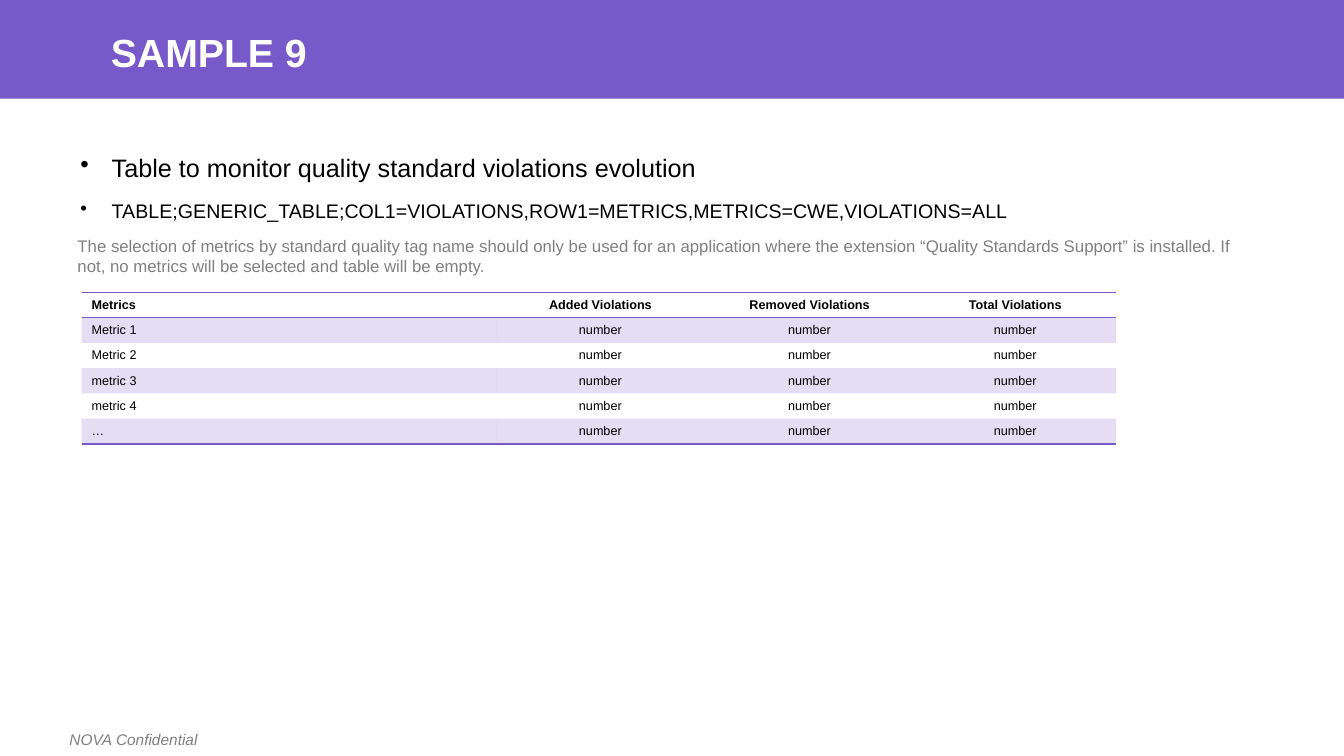
from dataclasses import dataclass

from lxml.etree import SubElement
from pptx import Presentation
from pptx.dml.color import RGBColor
from pptx.enum.shapes import MSO_SHAPE
from pptx.enum.text import MSO_ANCHOR, MSO_AUTO_SIZE, PP_ALIGN
from pptx.oxml.ns import qn
from pptx.util import Inches, Pt

PURPLE = RGBColor(0x78, 0x59, 0xC9)
GRAY = RGBColor(0x80, 0x80, 0x80)
BLACK = RGBColor(0, 0, 0)
WHITE = RGBColor(0xFF, 0xFF, 0xFF)
FONT = "Arial"
PLAIN_TABLE_STYLE = "{2D5ABB26-0587-4C30-8999-92F81FD0307C}"
BAND_ALPHA = 20
WIDTH, HEIGHT = Inches(13.33), Inches(7.5)


@dataclass(frozen=True)
class Box:
    left: float
    top: float
    width: float
    height: float

    def place(self) -> tuple:
        return tuple(Inches(v) for v in (self.left, self.top, self.width, self.height))


@dataclass(frozen=True)
class Line:
    text: str
    size: float
    color: RGBColor = BLACK
    bold: bool = False
    italic: bool = False
    bullet: bool = False


def write(p, line: Line) -> None:
    p.text = line.text
    f = p.font
    f.name, f.size, f.bold, f.italic = FONT, Pt(line.size), line.bold, line.italic
    f.color.rgb = line.color
    if line.bullet:
        p.space_before = Pt(12)
        pPr = p._p.get_or_add_pPr()
        pPr.set("marL", str(Inches(0.31)))
        pPr.set("indent", str(-Inches(0.31)))
        bullet = pPr.makeelement(qn("a:buChar"), {"char": "•"})
        pPr.find(qn("a:defRPr")).addprevious(bullet)


def add_text(slide, box: Box, lines: list[Line], wrap: bool = True) -> None:
    tf = slide.shapes.add_textbox(*box.place()).text_frame
    tf.word_wrap = wrap
    for i, line in enumerate(lines):
        write(tf.add_paragraph() if i else tf.paragraphs[0], line)


def add_border(cell, tag: str, position: int) -> None:
    tcPr = cell._tc.get_or_add_tcPr()
    ln = tcPr.makeelement(qn(tag), {"w": str(Pt(1))})
    tcPr.insert(position, ln)
    fill = SubElement(ln, qn("a:solidFill"))
    SubElement(fill, qn("a:srgbClr"), val=str(PURPLE))


def shade(cell) -> None:
    cell.fill.solid()
    cell.fill.fore_color.rgb = PURPLE
    color = cell._tc.tcPr.find(qn("a:solidFill")).find(qn("a:srgbClr"))
    SubElement(color, qn("a:alpha"), val=str(BAND_ALPHA * 1000))


def add_violations(slide, box: Box, widths: list[float], rows: list[list[str]]) -> None:
    table = slide.shapes.add_table(len(rows), len(widths), *box.place()).table
    table._tbl.tblPr.find(qn("a:tableStyleId")).text = PLAIN_TABLE_STYLE
    for col, width in zip(table.columns, widths):
        col.width = Inches(width)
    for r, row in enumerate(rows):
        table.rows[r].height = Inches(box.height / len(rows))
        for c, text in enumerate(row):
            cell = table.cell(r, c)
            cell.vertical_anchor = MSO_ANCHOR.MIDDLE
            p = cell.text_frame.paragraphs[0]
            write(p, Line(text, 9, bold=r == 0))
            p.alignment = PP_ALIGN.CENTER if c else PP_ALIGN.LEFT
            if r % 2:
                shade(cell)
            else:
                cell.fill.background()
            if r in (0, len(rows) - 1):
                add_border(cell, "a:lnB", 0)
            if r == 0:
                add_border(cell, "a:lnT", 0)


prs = Presentation()
prs.slide_width, prs.slide_height = WIDTH, HEIGHT
s = prs.slides.add_slide(prs.slide_layouts[5])

# Header band, behind the title
band = s.shapes.add_shape(MSO_SHAPE.RECTANGLE, 0, 0, WIDTH, Inches(0.98))
band.shadow.inherit = False
band.fill.solid()
band.fill.fore_color.rgb = PURPLE
band.line.fill.background()
s.shapes.title._element.addprevious(band._element)

# Title
title = s.shapes.title
title.left, title.top, title.width, title.height = Box(1, 0.28, 11.5, 0.44).place()
tf = title.text_frame
tf.auto_size = MSO_AUTO_SIZE.NONE
tf.vertical_anchor = MSO_ANCHOR.TOP
write(tf.paragraphs[0], Line("SAMPLE 9", 28, WHITE, bold=True))
tf.paragraphs[0].alignment = PP_ALIGN.LEFT
tf.paragraphs[0].line_spacing = 0.9

# Bullets
add_text(s, Box(0.7, 1.46, 11.96, 4.76), [
    Line("Table to monitor quality standard violations evolution", 18, bullet=True),
    Line("TABLE;GENERIC_TABLE;COL1=VIOLATIONS,ROW1=METRICS,METRICS=CWE,VIOLATIONS=ALL",
         14, bullet=True),
])

# Violations table
names = ["Metric 1", "Metric 2", "metric 3", "metric 4", "…"]
header = ["Metrics", "Added Violations", "Removed Violations", "Total Violations"]
add_violations(s, Box(0.81, 2.9, 10.26, 1.44), [4.11, 2.07, 2.08, 2],
               [header] + [[name] + ["number"] * 3 for name in names])

# Note and footer
add_text(s, Box(0.67, 2.29, 11.71, 0.49), [Line(
    "The selection of metrics by standard quality tag name should only be used for an "
    "application where the extension “Quality Standards Support” is installed. If not, "
    "no metrics will be selected and table will be empty.", 12, GRAY)])
add_text(s, Box(0.59, 7.19, 1.47, 0.29),
         [Line("NOVA Confidential", 11, GRAY, italic=True)], wrap=False)

prs.save("out.pptx")
